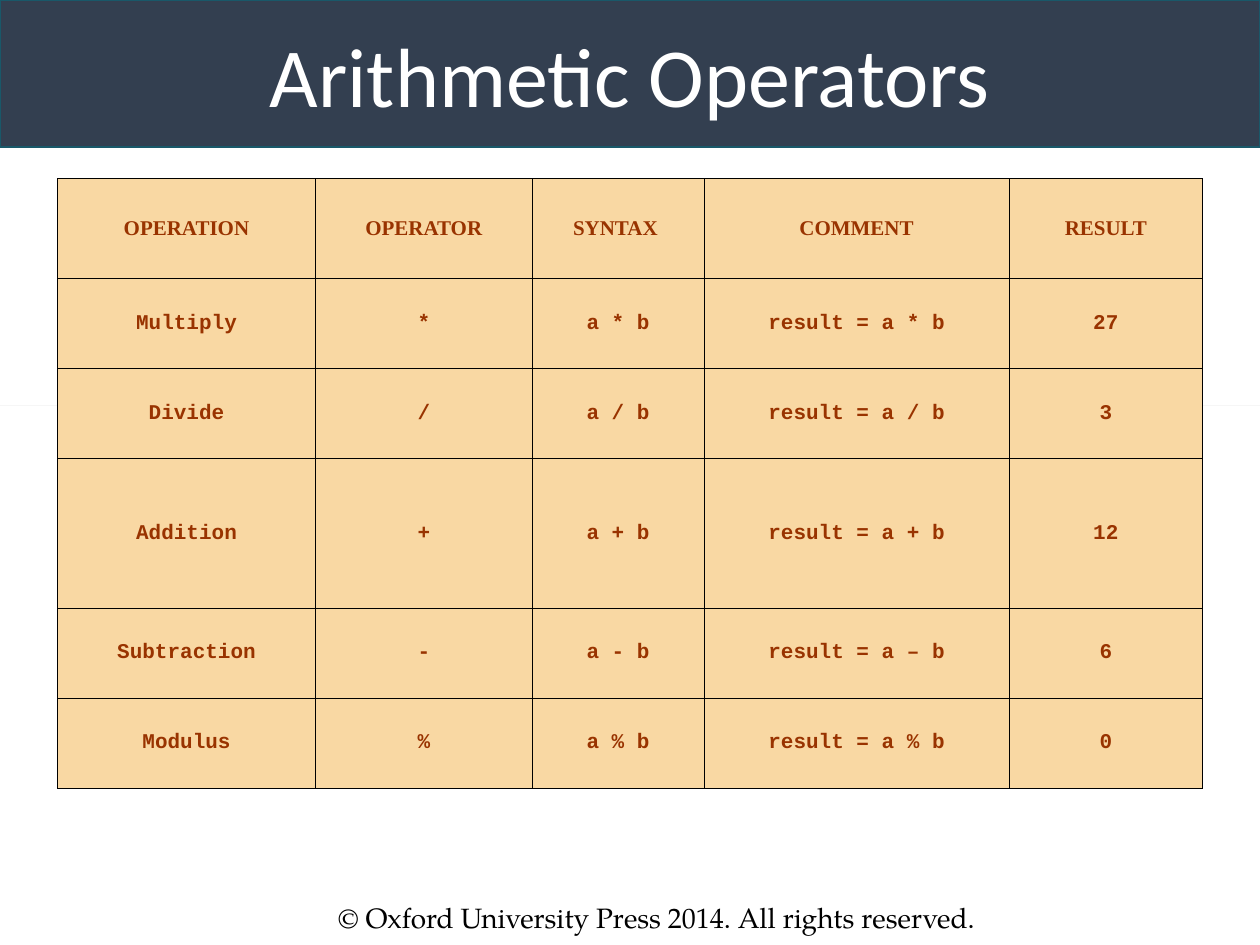
from lxml.etree import SubElement
from pptx import Presentation
from pptx.dml.color import RGBColor
from pptx.enum.shapes import MSO_SHAPE as Shape
from pptx.enum.text import MSO_ANCHOR as Anchor, MSO_AUTO_SIZE as AutoSize, PP_ALIGN as Align
from pptx.oxml import parse_xml
from pptx.oxml.ns import nsdecls, qn
from pptx.util import Cm, Pt

COLORS = {
    "banner": "333F50",
    "banner_edge": "195869",
    "title": "FFFFFF",
    "hairline": "E6E6E6",
    "cell": "F9D8A3",
    "cell_text": "993300",
    "grid": "000000",
    "footer": "000000",
}
OPERATIONS = [
    ("OPERATION", "OPERATOR", "SYNTAX ", "COMMENT", "RESULT"),
    ("Multiply", "*", "a * b", "result = a * b", "27"),
    ("Divide", "/", "a / b", "result = a / b", "3"),
    ("Addition", "+", "a + b", "result = a + b", "12"),
    ("Subtraction", "-", "a - b", "result = a – b", "6"),
    ("Modulus", "%", "a % b", "result = a % b", "0"),
]
COLUMN_WIDTHS = [5.2, 4.37, 3.46, 6.16, 3.89]
ROW_HEIGHTS = [2.02, 1.81, 1.82, 3.02, 1.81, 1.81]


def color(part):
    """Return the colour of a named part."""
    return RGBColor.from_string(COLORS[part])


def write(paragraph, words, font, size, part, bold=False, align=Align.CENTER):
    """Add one formatted run to a paragraph."""
    paragraph.alignment = align
    run = paragraph.add_run()
    run.text = words
    run.font.name = font
    run.font.size = Pt(size)
    run.font.bold = bold
    run.font.color.rgb = color(part)


def place(item, left, top, width, height):
    """Set the box of a shape, given in centimetres."""
    item.left, item.top = Cm(left), Cm(top)
    item.width, item.height = Cm(width), Cm(height)


def add_banner(slide, left, top, width, height):
    """Turn the title placeholder into a filled banner."""
    banner = slide.shapes.title
    place(banner, left, top, width, height)
    banner.fill.solid()
    banner.fill.fore_color.rgb = color("banner")
    banner.line.color.rgb = color("banner_edge")
    banner.line.width = Pt(1)
    frame = banner.text_frame
    frame.auto_size = AutoSize.NONE
    frame.vertical_anchor = Anchor.MIDDLE
    write(frame.paragraphs[0], "Arithmetic Operators", "Calibri", 48, "title")


def add_hairline(slide, left, top, width, height):
    """Place the flat pale bar that runs across the slide behind the table."""
    hairline = slide.shapes.add_shape(
        Shape.RECTANGLE, Cm(left), Cm(top), Cm(width), Cm(height)
    )
    hairline.shadow.inherit = False
    hairline.fill.solid()
    hairline.fill.fore_color.rgb = color("hairline")
    hairline.line.fill.background()


def outline(cell):
    """Draw thin borders on the four sides of a cell."""
    properties = cell._tc.get_or_add_tcPr()
    for position, side in enumerate(("lnL", "lnR", "lnT", "lnB")):
        border = parse_xml(f'<a:{side} {nsdecls("a")} w="{Pt(0.34)}"/>')
        fill = SubElement(border, qn("a:solidFill"))
        SubElement(fill, qn("a:srgbClr"), val=COLORS["grid"])
        properties.insert(position, border)


def add_operations(slide, left, top, width, height):
    """Place the table of operators, sharing the box by its row and column sizes."""
    frame = slide.shapes.add_table(
        len(OPERATIONS), len(COLUMN_WIDTHS), Cm(left), Cm(top), Cm(width), Cm(height)
    )
    table = frame.table
    table.first_row = table.horz_banding = False
    for column, share in zip(table.columns, COLUMN_WIDTHS):
        column.width = Cm(width * share / sum(COLUMN_WIDTHS))
    for row, share in zip(table.rows, ROW_HEIGHTS):
        row.height = Cm(height * share / sum(ROW_HEIGHTS))
    for index, operation in enumerate(OPERATIONS):
        font = "Courier New" if index else "Times New Roman"
        for cell, words in zip(table.rows[index].cells, operation):
            cell.fill.solid()
            cell.fill.fore_color.rgb = color("cell")
            cell.vertical_anchor = Anchor.MIDDLE
            outline(cell)
            write(cell.text_frame.paragraphs[0], words, font, 12, "cell_text", bold=True)


def add_footer(slide, left, top, width, height):
    """Place the copyright line."""
    footer = slide.shapes.add_textbox(Cm(left), Cm(top), Cm(width), Cm(height))
    frame = footer.text_frame
    frame.word_wrap = True
    frame.auto_size = AutoSize.SHAPE_TO_FIT_TEXT
    write(frame.paragraphs[0], "© Oxford University Press 2014. All rights reserved.",
          "TeX Gyre Pagella", 16, "footer", align=Align.LEFT)


def main():
    """Build and save the slide."""
    deck = Presentation()
    deck.slide_width, deck.slide_height = Cm(25.4), Cm(19.05)
    slide = deck.slides.add_slide(deck.slide_layouts[5])
    add_footer(slide, 6.56, 18.03, 15.04, 0.94)
    add_banner(slide, 0, 0, 25.4, 2.97)
    add_hairline(slide, 0, 8.18, 25.4, 0)
    add_operations(slide, 1.16, 3.6, 23.08, 12.29)
    deck.save("out.pptx")


if __name__ == "__main__":
    main()
